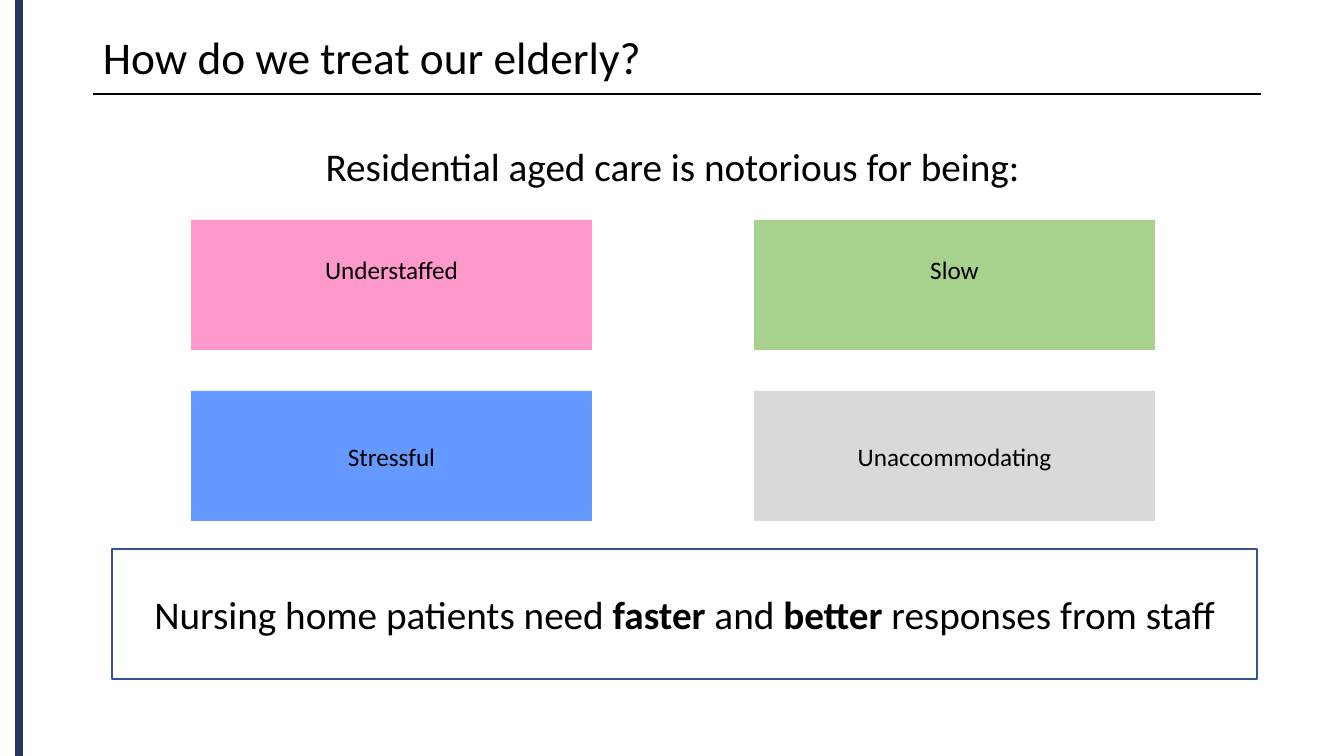
from dataclasses import dataclass

import pptx
import pptx.dml.color
import pptx.enum.shapes
import pptx.enum.text
import pptx.oxml.ns
import pptx.util
from lxml import etree

RGBColor = pptx.dml.color.RGBColor
Align = pptx.enum.text.PP_ALIGN
Anchor = pptx.enum.text.MSO_ANCHOR

EMU_PER_PX = 914400 / 100.8
FONT = "Calibri"
BLACK = RGBColor(0x00, 0x00, 0x00)
WHITE = RGBColor(0xFF, 0xFF, 0xFF)
NAVY = RGBColor(0x29, 0x36, 0x62)
BLUE_EDGE = RGBColor(0x32, 0x54, 0x91)
PINK = RGBColor(0xFF, 0x99, 0xCC)
GREEN = RGBColor(0xA9, 0xD1, 0x8E)
BLUE = RGBColor(0x66, 0x99, 0xFF)
GREY = RGBColor(0xD9, 0xD9, 0xD9)

CARD_LEFT, CARD_TOP = 191, 220
CARD_W, CARD_H = 401, 130
COLUMN_STEP, ROW_STEP = 563, 171
ROW_BOTTOM_INSETS = (36, 5)


@dataclass
class Card:
    text: str
    fill: RGBColor
    column: int
    row: int


@dataclass
class Rule:
    x1: int
    y1: int
    x2: int
    y2: int
    color: RGBColor
    width: float


CARDS = [
    Card("Understaffed", PINK, 0, 0),
    Card("Slow", GREEN, 1, 0),
    Card("Stressful", BLUE, 0, 1),
    Card("Unaccommodating", GREY, 1, 1),
]
RULES = [
    Rule(93, 94, 1261, 94, BLACK, 1.5),
    Rule(19, 0, 19, 756, NAVY, 5.5),
]


def px(n: int) -> pptx.util.Emu:
    return pptx.util.Emu(round(n * EMU_PER_PX))


def write(s, text, *, size: float, align=Align.CENTER, anchor=Anchor.MIDDLE,
          spacing: float = 1.0, bottom: int = 5, bold_words: tuple = ()) -> None:
    tf = s.text_frame
    tf.word_wrap = True
    tf.vertical_anchor = anchor
    tf.margin_bottom = px(bottom)
    p = tf.paragraphs[0]
    p.alignment = align
    p.line_spacing = spacing
    pieces = [(text, False)]
    for word in bold_words:
        before, after = pieces.pop()[0].split(word, 1)
        pieces += [(before, False), (word, True), (after, False)]
    for piece, bold in pieces:
        r = p.add_run()
        r.text = piece
        r.font.name = FONT
        r.font.size = pptx.util.Pt(size)
        r.font.bold = bold
        r.font.color.rgb = BLACK


def add_text(shapes, left: int, top: int, width: int, height: int, text: str, **fmt) -> None:
    write(shapes.add_textbox(px(left), px(top), px(width), px(height)), text, **fmt)


def add_box(shapes, left: int, top: int, width: int, height: int, fill: RGBColor,
            edge: RGBColor | None = None):
    s = shapes.add_shape(pptx.enum.shapes.MSO_SHAPE.RECTANGLE,
                         px(left), px(top), px(width), px(height))
    s.shadow.inherit = False
    s.fill.solid()
    s.fill.fore_color.rgb = fill
    if edge is None:
        s.line.fill.background()
    else:
        s.line.color.rgb = edge
        s.line.width = pptx.util.Pt(1)
    return s


def add_rule(shapes, rule: Rule) -> None:
    s = shapes.add_connector(pptx.enum.shapes.MSO_CONNECTOR.STRAIGHT,
                             px(rule.x1), px(rule.y1), px(rule.x2), px(rule.y2))
    s.line.color.rgb = rule.color
    s.line.width = pptx.util.Pt(rule.width)
    etree.SubElement(s._element.spPr, pptx.oxml.ns.qn("a:effectLst"))


def add_card(shapes, card: Card) -> None:
    s = add_box(shapes, CARD_LEFT + card.column * COLUMN_STEP,
                CARD_TOP + card.row * ROW_STEP, CARD_W, CARD_H, card.fill)
    write(s, card.text, size=18, bottom=ROW_BOTTOM_INSETS[card.row])


def main() -> None:
    prs = pptx.Presentation()
    prs.slide_width, prs.slide_height = px(1344), px(756)
    shapes = prs.slides.add_slide(prs.slide_layouts[6]).shapes

    for rule in RULES:
        add_rule(shapes, rule)
    add_text(shapes, 93, 36, 1159, 47, "How do we treat our elderly?",
             size=32.4, align=Align.LEFT, spacing=0.9)
    add_text(shapes, 93, 143, 1159, 65, "Residential aged care is notorious for being:",
             size=28, anchor=Anchor.TOP, spacing=0.9)
    callout = add_box(shapes, 112, 549, 1145, 130, WHITE, BLUE_EDGE)
    write(callout, "Nursing home patients need faster and better responses from staff",
          size=28, bold_words=("faster", "better"))
    for card in CARDS:
        add_card(shapes, card)

    prs.save("out.pptx")


if __name__ == "__main__":
    main()
